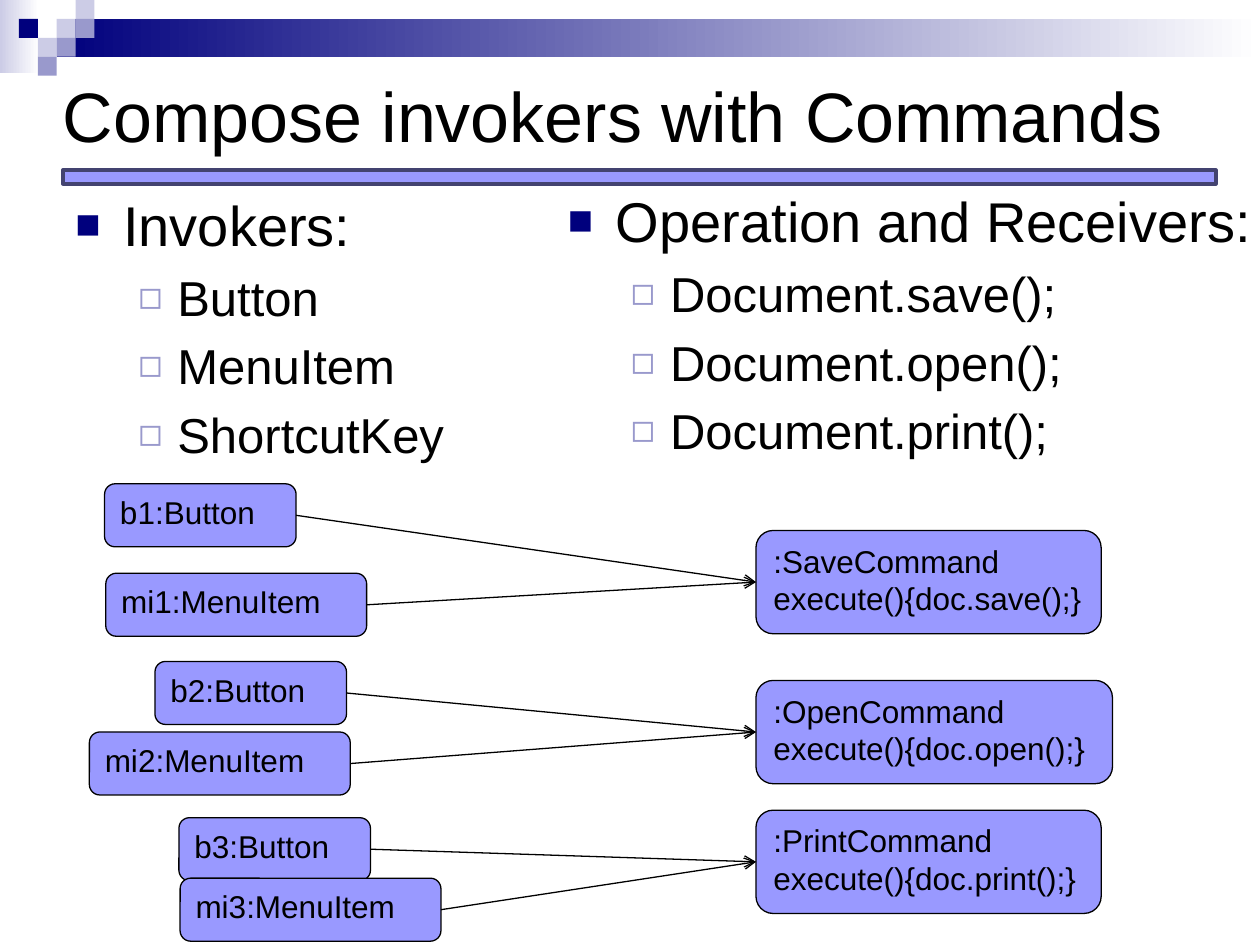
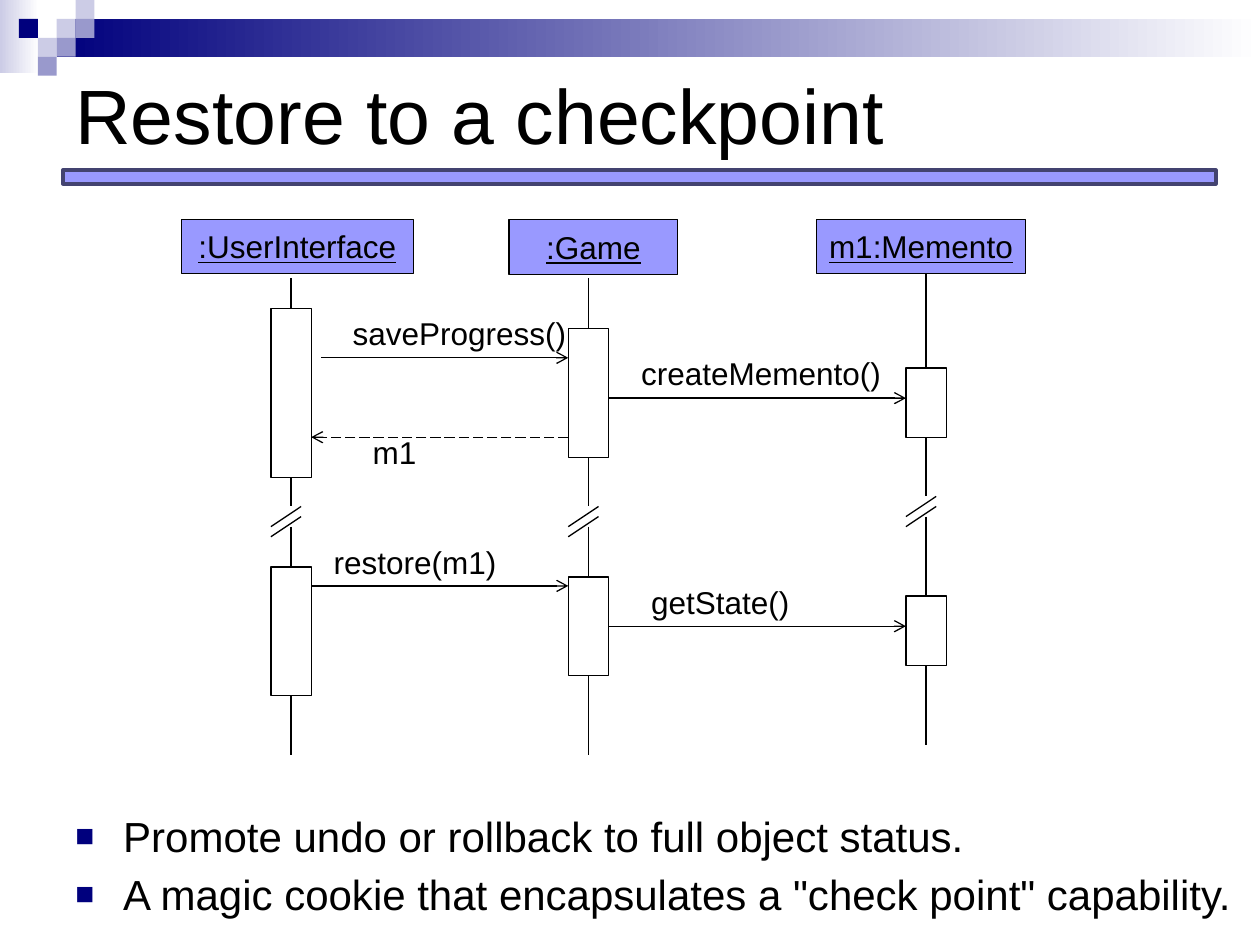
from lxml import etree
from pptx import Presentation
from pptx.dml.color import RGBColor
from pptx.enum.dml import MSO_LINE
from pptx.enum.shapes import MSO_CONNECTOR, MSO_SHAPE
from pptx.enum.text import MSO_ANCHOR, PP_ALIGN
from pptx.oxml.ns import qn
from pptx.util import Pt

# One px is a hundredth of an inch
PX = 9144
WIDTH, HEIGHT = 1000, 750
FONT = "Arial"

BLACK = RGBColor(0x00, 0x00, 0x00)
WHITE = RGBColor(0xFF, 0xFF, 0xFF)
NAVY = RGBColor(0x00, 0x00, 0x7D)
LAVENDER = RGBColor(0xCC, 0xCC, 0xE6)
MUTED = RGBColor(0x99, 0x99, 0xCC)
VIOLET = RGBColor(0x99, 0x99, 0xFF)
RULE_EDGE = RGBColor(0x43, 0x43, 0x70)

RECTANGLE = MSO_SHAPE.RECTANGLE
ROUNDED = MSO_SHAPE.ROUNDED_RECTANGLE
STRAIGHT = MSO_CONNECTOR.STRAIGHT
LONG_DASH = MSO_LINE.LONG_DASH
TOP, MIDDLE = MSO_ANCHOR.TOP, MSO_ANCHOR.MIDDLE
LEFT, CENTER = PP_ALIGN.LEFT, PP_ALIGN.CENTER
LEFT_SITE, RIGHT_SITE = 1, 3

# Per list level: symbol, colour, size in percent, text indent, hanging indent
BULLETS = [("■", NAVY, 75, 38, 38), ("◻", MUTED, 80, 81, 31)]

SQUARE = 15
# Column, row and colour of the squares in the corner
CORNER_SQUARES = [(3, 1, LAVENDER), (4, 0, LAVENDER), (4, 1, MUTED), (2, 2, LAVENDER),
                  (1, 1, NAVY), (3, 2, MUTED), (2, 3, MUTED)]


def px(*lengths):
    return [length * PX for length in lengths]


class Deck:
    def __init__(self):
        self.presentation = Presentation()
        self.presentation.slide_width, self.presentation.slide_height = px(WIDTH, HEIGHT)
        self.slide = None

    def new_slide(self, title, title_box, title_size):
        self.slide = self.presentation.slides.add_slide(self.presentation.slide_layouts[6])
        self.gradient_band((0, 0, 31, 58), LAVENDER)
        self.gradient_band((45, 15, 955, 30), NAVY)
        for column, row, color in CORNER_SQUARES:
            self.box((column * SQUARE, row * SQUARE, SQUARE, SQUARE), color, line=None)
        self.box((50, 135, 915, 11), VIOLET, line=RULE_EDGE, line_width=2)
        self.text(title_box, title, title_size, anchor=MIDDLE, wrap=True)

    def box(self, bounds, fill, line=BLACK, line_width=0.75, kind=RECTANGLE):
        shape = self.slide.shapes.add_shape(kind, *px(*bounds))
        shape.shadow.inherit = False
        shape.fill.solid()
        shape.fill.fore_color.rgb = fill
        if line is None:
            shape.line.fill.background()
        else:
            shape.line.color.rgb = line
            shape.line.width = Pt(line_width)
        return shape

    def gradient_band(self, bounds, color):
        fill = self.box(bounds, color, line=None).fill
        fill.gradient()
        fill.gradient_angle = 0
        for stop, stop_color, position in zip(fill.gradient_stops, (color, WHITE), (0, 1)):
            stop.color.rgb = stop_color
            stop.position = position

    def add_text_run(self, paragraph, text, size, underline=None):
        run = paragraph.add_run()
        run.text = text
        run.font.name = FONT
        run.font.size = Pt(size)
        run.font.color.rgb = BLACK
        run.font.underline = underline

    def fill_frame(self, frame, lines, size=18, anchor=TOP, align=LEFT, wrap=True, underline=None):
        frame.word_wrap = wrap
        frame.vertical_anchor = anchor
        for index, line in enumerate(lines):
            paragraph = frame.add_paragraph() if index else frame.paragraphs[0]
            paragraph.alignment = align
            self.add_text_run(paragraph, line, size, underline)

    def text(self, bounds, text, size=18, anchor=TOP, wrap=False):
        frame = self.slide.shapes.add_textbox(*px(*bounds)).text_frame
        self.fill_frame(frame, [text], size, anchor, wrap=wrap)

    def object_box(self, bounds, *lines):
        shape = self.box(bounds, VIOLET, kind=ROUNDED)
        self.fill_frame(shape.text_frame, lines)
        return shape

    def actor(self, bounds, name):
        frame = self.box(bounds, VIOLET).text_frame
        self.fill_frame(frame, [name], anchor=MIDDLE, align=CENTER, wrap=False, underline=True)

    def bullet_list(self, bounds, items, wrap=True):
        """Items are (level, size, text)."""
        frame = self.slide.shapes.add_textbox(*px(*bounds)).text_frame
        frame.word_wrap = wrap
        for index, (level, size, text) in enumerate(items):
            paragraph = frame.add_paragraph() if index else frame.paragraphs[0]
            paragraph.level = level
            self.add_bullet(paragraph, *BULLETS[level])
            self.add_text_run(paragraph, text, size)

    def add_bullet(self, paragraph, symbol, color, percent, indent, hanging):
        properties = paragraph._p.get_or_add_pPr()
        properties.set("marL", str(indent * PX))
        properties.set("indent", str(-hanging * PX))
        space = etree.SubElement(properties, qn("a:spcBef"))
        etree.SubElement(space, qn("a:spcPct"), val="20000")
        bullet_color = etree.SubElement(properties, qn("a:buClr"))
        etree.SubElement(bullet_color, qn("a:srgbClr"), val=str(color))
        etree.SubElement(properties, qn("a:buSzPct"), val=str(percent * 1000))
        etree.SubElement(properties, qn("a:buFont"), typeface=FONT)
        etree.SubElement(properties, qn("a:buChar"), char=symbol)

    def line(self, start, end, arrow=False, dash=None):
        connector = self.slide.shapes.add_connector(STRAIGHT, *px(*start, *end))
        connector.line.color.rgb = BLACK
        connector.line.width = Pt(0.75)
        if dash is not None:
            connector.line.dash_style = dash
        properties = connector._element.spPr
        if arrow:
            etree.SubElement(properties.find(qn("a:ln")), qn("a:tailEnd"), type="arrow")
        etree.SubElement(properties, qn("a:effectLst"))
        return connector

    def link(self, source, target):
        connector = self.line((0, 0), (0, 0), arrow=True)
        connector.begin_connect(source, RIGHT_SITE)
        connector.end_connect(target, LEFT_SITE)

    def lifeline(self, x, top, bars):
        """A line broken by two slanted strokes, with activation bars."""
        gap = top + 181
        self.line((x, top), (x, gap))
        self.line((x, gap + 16), (x, top + 378))
        for y in (gap, gap + 8):
            self.line((x + 8, y), (x - 16, y + 16))
        for bar_top, bar_height in bars:
            self.box((x - 16, bar_top, 32, bar_height), WHITE)


def invokers_slide(deck):
    deck.new_slide("Compose invokers with Commands", (40, 16, 976, 150), 40)
    deck.bullet_list((50, 146, 380, 264), [
        (0, 32, "Invokers:"), (1, 28, "Button"), (1, 28, "MenuItem"), (1, 28, "ShortcutKey")])
    deck.bullet_list((441, 143, 566, 264), [
        (0, 32, "Operation and Receivers:"),
        *[(1, 28, f"Document.{operation}();") for operation in ("save", "open", "print")]],
        wrap=False)

    # Command, operation, top and width; then left and top of its button and menu item
    commands = [
        ("Save", "save", 421, 274, (83, 384), (84, 455)),
        ("Open", "open", 540, 283, (123, 525), (71, 581)),
        ("Print", "print", 643, 274, (142, 649), (143, 697)),
    ]
    for number, (name, operation, top, width, button_at, item_at) in enumerate(commands, 1):
        command = deck.object_box((600, top, width, 82),
                                  f":{name}Command", f"execute(){{doc.{operation}();}}")
        button = deck.object_box((*button_at, 152, 50), f"b{number}:Button")
        item = deck.object_box((*item_at, 207, 50), f"mi{number}:MenuItem")
        deck.link(button, command)
        deck.link(item, command)


def checkpoint_slide(deck):
    deck.new_slide("Restore to a checkpoint", (50, 15, 900, 150), 44)
    deck.bullet_list((50, 638, 950, 95), [
        (0, 24, "Promote undo or rollback to full object status."),
        (0, 24, 'A magic cookie that encapsulates a "check point" capability.')])

    # Actors, each with its lifeline: x, top, bars as (top, height)
    actors = [
        (":UserInterface", (144, 174, 184, 43), 231, 221, [(245, 134), (450, 102)]),
        (":Game", (404, 174, 134, 44), 467, 221, [(261, 102), (458, 78)]),
        ("m1:Memento", (648, 174, 166, 43), 735, 213, [(292, 55), (473, 55)]),
    ]
    for name, bounds, x, top, bars in actors:
        deck.lifeline(x, top, bars)
        deck.actor(bounds, name)

    # Messages: text, text box, arrow from x to x at y, dash
    messages = [
        ("saveProgress()", (270, 244, 191, 40), 255, 451, 284, None),
        ("createMemento()", (499, 276, 210, 40), 483, 719, 316, None),
        ("m1", (286, 339, 55, 40), 451, 247, 347, LONG_DASH),
        ("restore(m1)", (255, 426, 149, 40), 247, 451, 465, None),
        ("getState()", (507, 458, 130, 40), 483, 719, 497, None),
    ]
    for text, bounds, start, end, y, dash in messages:
        deck.line((start, y), (end, y), arrow=True, dash=dash)
        deck.text(bounds, text)


def main():
    deck = Deck()
    invokers_slide(deck)
    checkpoint_slide(deck)
    deck.presentation.save("out.pptx")


if __name__ == "__main__":
    main()
